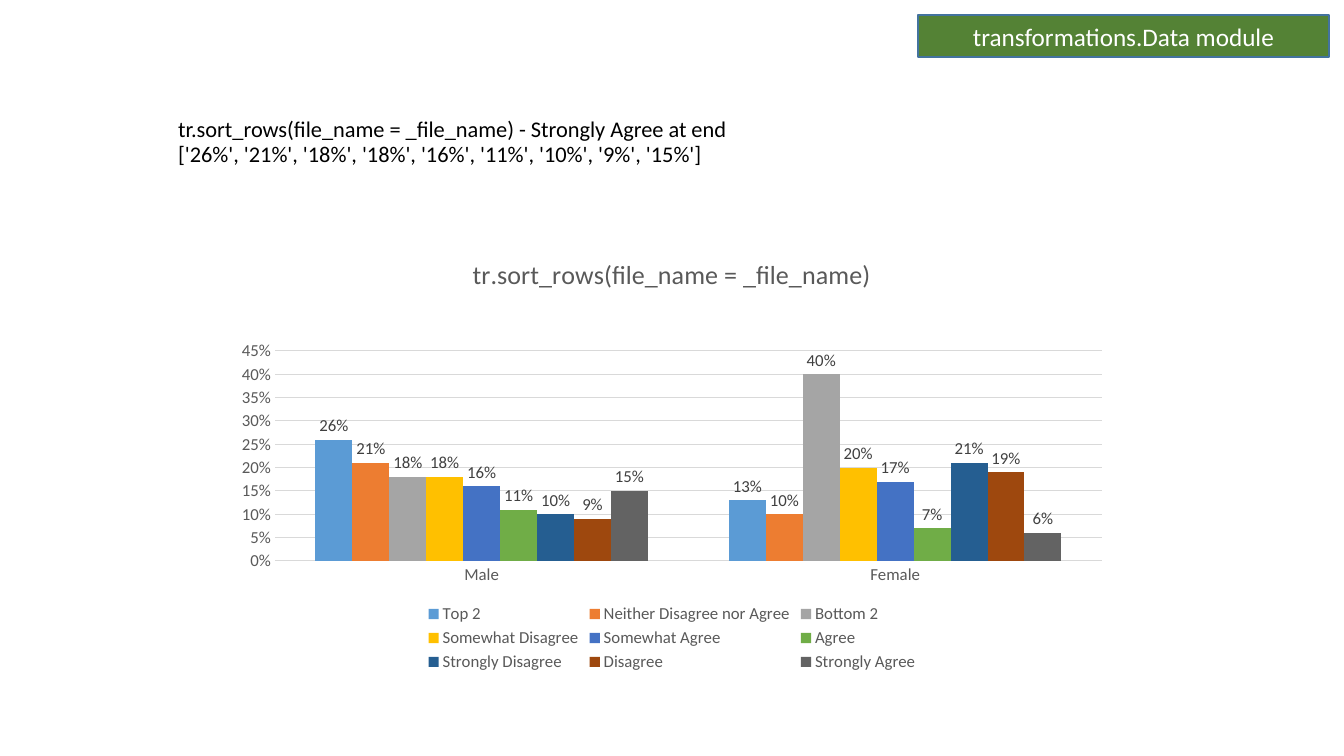
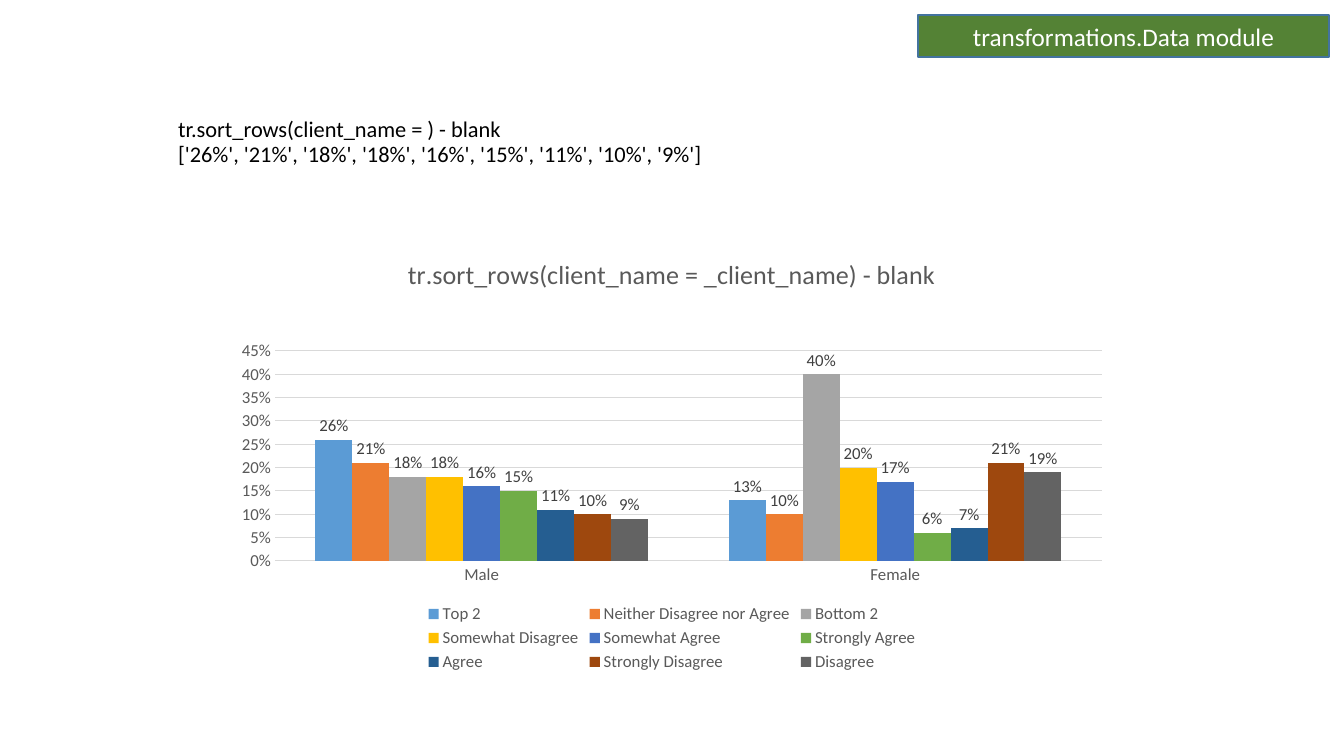
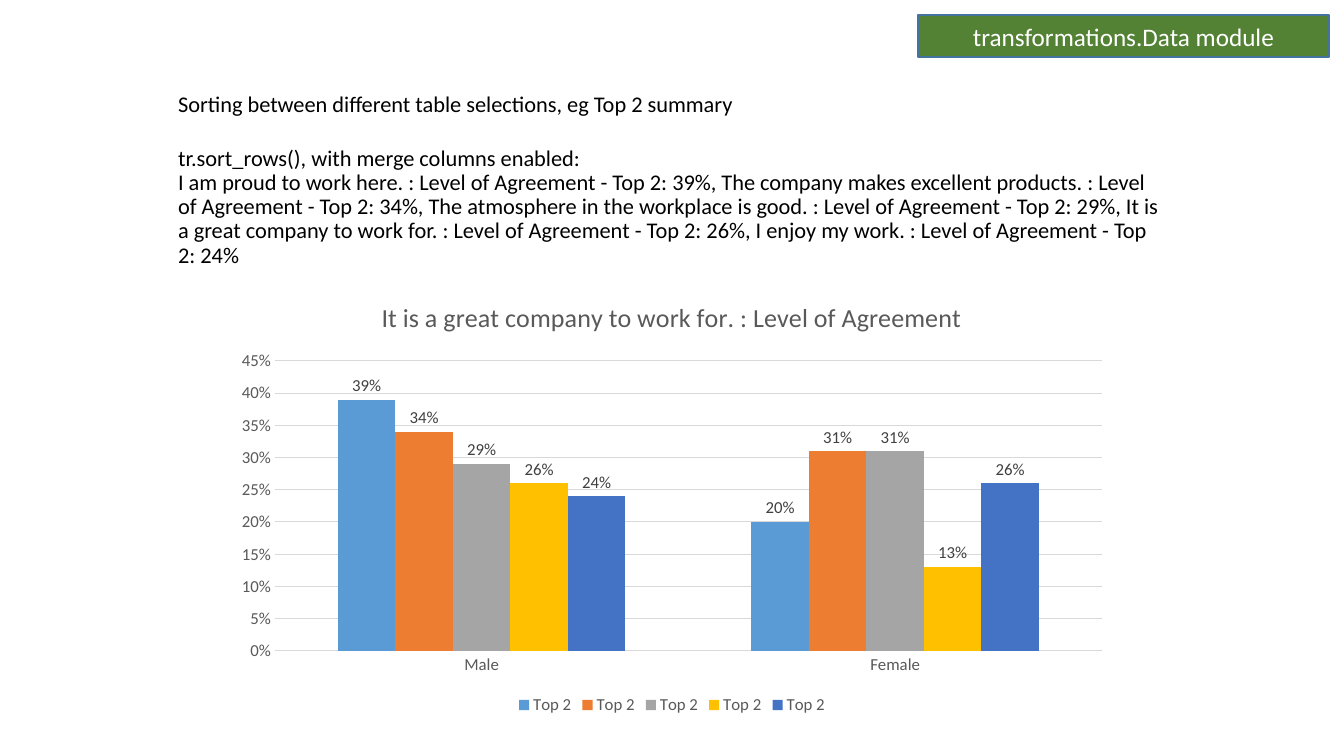
from collections import namedtuple
from dataclasses import dataclass

from lxml.etree import SubElement
from pptx import Presentation
from pptx.chart.data import CategoryChartData
from pptx.dml.color import RGBColor
from pptx.enum.chart import XL_CHART_TYPE, XL_LABEL_POSITION, XL_LEGEND_POSITION, XL_TICK_MARK
from pptx.enum.shapes import MSO_SHAPE
from pptx.enum.text import MSO_ANCHOR, MSO_AUTO_SIZE, PP_ALIGN
from pptx.oxml.ns import qn
from pptx.util import Emu, Pt

Box = namedtuple("Box", "left top width height")


@dataclass(frozen=True)
class Theme:
    font: str = "Calibri"
    ink: str = "000000"
    white: str = "FFFFFF"
    band: str = "548235"
    band_line: str = "43739E"
    muted: str = "595959"
    label: str = "404040"
    grid: str = "D9D9D9"
    series: tuple = ("5B9BD5", "ED7D31", "A5A5A5", "FFC000", "4472C4",
                     "70AD47", "255E91", "9E480E", "636363")
    heading_size: float = 16
    band_size: float = 18
    chart_title_size: float = 18.6
    chart_size: float = 12


THEME = Theme()
EMU_PER_PX = 914400 / 100.8
PAGE_WIDTH, PAGE_HEIGHT = 1344, 756
BAND = Box(918, 15, 411, 42)
CATEGORIES = ("Male", "Female")

AGREEMENT = {
    "Top 2": (0.26, 0.13),
    "Neither Disagree nor Agree": (0.21, 0.1),
    "Bottom 2": (0.18, 0.4),
    "Somewhat Disagree": (0.18, 0.2),
    "Somewhat Agree": (0.16, 0.17),
    "Strongly Agree": (0.15, 0.06),
    "Agree": (0.11, 0.07),
    "Strongly Disagree": (0.1, 0.21),
    "Disagree": (0.09, 0.19),
}
SORTED_ROWS = list(AGREEMENT.items())
STRONGLY_AGREE_LAST = sorted(SORTED_ROWS, key=lambda row: row[0] == "Strongly Agree")
TOP_TWO_ROWS = [("Top 2", values) for values in (
    (0.39, 0.2), (0.34, 0.31), (0.29, 0.31), (0.26, 0.13), (0.24, 0.26))]


def px(length):
    return Emu(round(length * EMU_PER_PX))


def place(shape, box):
    shape.left, shape.top, shape.width, shape.height = map(px, box)


def rgb(color):
    return RGBColor.from_string(color)


def style_font(font, size, color):
    font.name = THEME.font
    font.size = Pt(size)
    font.bold = False
    font.color.rgb = rgb(color)


def write_text(frame, *paragraphs, size, color, align=PP_ALIGN.LEFT,
               line_spacing=None, gap=0):
    """Write each argument as a paragraph, with a line break at each newline."""
    for index, text in enumerate(paragraphs):
        para = frame.add_paragraph() if index else frame.paragraphs[0]
        para.alignment = align
        if line_spacing:
            para.line_spacing = line_spacing
        if index:
            para.space_before = Pt(gap)
        for number, line in enumerate(text.split("\n")):
            if number:
                para.add_line_break()
            span = para.add_run()
            span.text = line
            style_font(span.font, size, color)


def add_heading(page, box, paragraphs):
    title = page.shapes.title
    place(title, box)
    frame = title.text_frame
    frame.word_wrap = True
    frame.auto_size = MSO_AUTO_SIZE.NONE
    frame.vertical_anchor = MSO_ANCHOR.BOTTOM
    write_text(frame, *paragraphs, size=THEME.heading_size, color=THEME.ink,
               line_spacing=0.9, gap=21)


def add_module_band(page, box):
    band = page.shapes.add_shape(MSO_SHAPE.RECTANGLE, *map(px, box))
    band.shadow.inherit = False
    band.fill.solid()
    band.fill.fore_color.rgb = rgb(THEME.band)
    band.line.color.rgb = rgb(THEME.band_line)
    band.line.width = Pt(1)
    band.text_frame.vertical_anchor = MSO_ANCHOR.MIDDLE
    write_text(band.text_frame, "transformations.Data module", size=THEME.band_size,
               color=THEME.white, align=PP_ALIGN.CENTER)


def set_plot_area(chart, box, plot):
    """Fix the inner plot area, given in px from the chart's corner."""
    area = chart.element.find(".//" + qn("c:plotArea"))
    for old_layout in area.findall(qn("c:layout")):
        area.remove(old_layout)
    layout = SubElement(area, qn("c:layout"))
    area.insert(0, layout)
    manual = SubElement(layout, qn("c:manualLayout"))
    settings = {
        "layoutTarget": "inner", "xMode": "edge", "yMode": "edge",
        "x": plot.left / box.width, "y": plot.top / box.height,
        "w": plot.width / box.width, "h": plot.height / box.height,
    }
    for name, value in settings.items():
        SubElement(manual, qn("c:" + name)).set("val", str(value))


def style_axes(chart):
    for axis in (chart.category_axis, chart.value_axis):
        axis.major_tick_mark = axis.minor_tick_mark = XL_TICK_MARK.NONE
        style_font(axis.tick_labels.font, THEME.chart_size, THEME.muted)
    values = chart.value_axis
    values.minimum_scale, values.maximum_scale, values.major_unit = 0, 0.45, 0.05
    values.tick_labels.number_format = "0%"
    values.tick_labels.number_format_is_linked = False
    values.format.line.fill.background()
    for line in (chart.category_axis.format.line, values.major_gridlines.format.line):
        line.color.rgb = rgb(THEME.grid)
        line.width = Pt(0.75)


def style_series(series, color):
    series.format.fill.solid()
    series.format.fill.fore_color.rgb = rgb(color)
    labels = series.data_labels
    labels.show_value = True
    labels.position = XL_LABEL_POSITION.OUTSIDE_END
    labels.number_format = "0%"
    labels.number_format_is_linked = False
    style_font(labels.font, THEME.chart_size, THEME.label)


def add_column_chart(page, box, plot_area, title, rows):
    data = CategoryChartData(number_format="0%")
    data.categories = CATEGORIES
    for name, values in rows:
        data.add_series(name, values)
    chart = page.shapes.add_chart(
        XL_CHART_TYPE.COLUMN_CLUSTERED, *map(px, box), data).chart
    style_font(chart.font, THEME.chart_size, THEME.muted)
    chart.has_title = True
    write_text(chart.chart_title.text_frame, title, size=THEME.chart_title_size,
               color=THEME.muted, align=PP_ALIGN.CENTER)
    chart.has_legend = True
    chart.legend.position = XL_LEGEND_POSITION.BOTTOM
    chart.legend.include_in_layout = False
    style_font(chart.legend.font, THEME.chart_size, THEME.muted)
    plot = chart.plots[0]
    plot.vary_by_categories = False
    plot.gap_width = 219
    plot.overlap = 0
    for series, color in zip(plot.series, THEME.series):
        style_series(series, color)
    style_axes(chart)
    set_plot_area(chart, box, plot_area)


def add_sorting_page(deck, heading, chart_title, rows, heading_height=77,
                     chart_top=237, plot_top=114, plot_height=210):
    page = deck.slides.add_slide(deck.slide_layouts[5])
    add_heading(page, Box(168, 95, 1008, heading_height), heading)
    add_module_band(page, BAND)
    add_column_chart(page, Box(224, chart_top, 896, 439),
                     Box(51, plot_top, 827, plot_height), chart_title, rows)


def main():
    deck = Presentation()
    deck.slide_width, deck.slide_height = px(PAGE_WIDTH), px(PAGE_HEIGHT)
    add_sorting_page(
        deck,
        ["tr.sort_rows(file_name = _file_name) - Strongly Agree at end\n"
         "['26%', '21%', '18%', '18%', '16%', '11%', '10%', '9%', '15%']"],
        "tr.sort_rows(file_name = _file_name)", STRONGLY_AGREE_LAST)
    add_sorting_page(
        deck,
        ["tr.sort_rows(client_name = ) - blank\n"
         "['26%', '21%', '18%', '18%', '16%', '15%', '11%', '10%', '9%']"],
        "tr.sort_rows(client_name = _client_name) - blank", SORTED_ROWS)
    add_sorting_page(
        deck,
        ["Sorting between different table selections, eg Top 2 summary",
         "tr.sort_rows(), with merge columns enabled:\n"
         "I am proud to work here. : Level of Agreement - Top 2: 39%, "
         "The company makes excellent products. : Level of Agreement - Top 2: 34%, "
         "The atmosphere in the workplace is good. : Level of Agreement - Top 2: 29%, "
         "It is a great company to work for. : Level of Agreement - Top 2: 26%, "
         "I enjoy my work. : Level of Agreement - Top 2: 24%"],
        "It is a great company to work for. : Level of Agreement", TOP_TWO_ROWS,
        heading_height=178, chart_top=280, plot_top=81, plot_height=290)
    deck.save("out.pptx")


if __name__ == "__main__":
    main()
